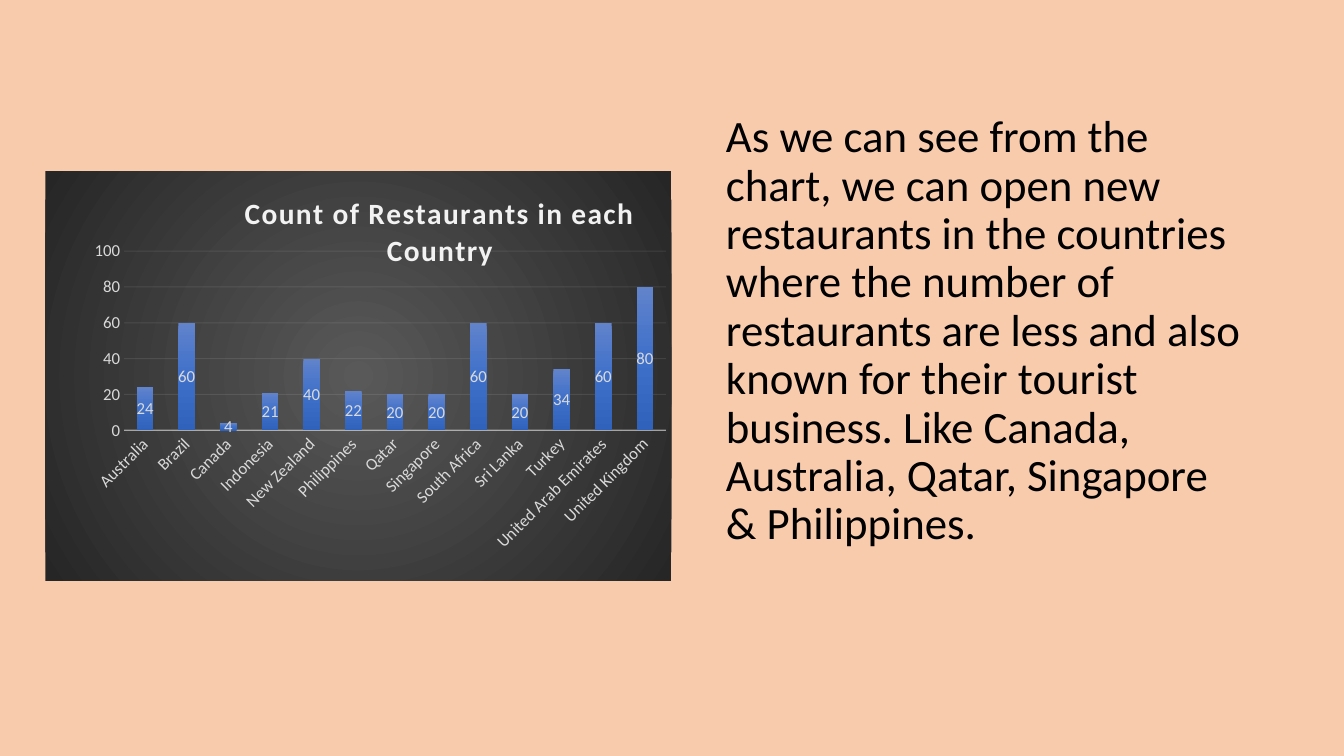
import pptx
import pptx.chart.data
import pptx.dml.color
import pptx.enum.chart
import pptx.enum.text
import pptx.oxml
import pptx.oxml.ns
import pptx.util
from dataclasses import dataclass

RESTAURANTS = {
    "Australia": 24, "Brazil": 60, "Canada": 4, "Indonesia": 21,
    "New Zealand": 40, "Philippines": 22, "Qatar": 20, "Singapore": 20,
    "South Africa": 60, "Sri Lanka": 20, "Turkey": 34,
    "United Arab Emirates": 60, "United Kingdom": 80,
}
ADVICE = (
    "As we can see from the chart, we can open new restaurants in the countries "
    "where the number of restaurants are less and also known for their tourist "
    "business. Like Canada, Australia, Qatar, Singapore & Philippines."
)


@dataclass(frozen=True)
class Theme:
    """Colours, fonts and type sizes of the slide."""
    font: str = "Calibri"
    background: str = "F8CBAD"
    text: str = "000000"
    heading: str = "F2F2F2"
    label: str = "D9D9D9"
    line: str = "F2F2F2"
    panel: tuple = ((0, "595959"), (100, "262626"))
    column: tuple = ((0, "6183CB"), (50, "3E70CA"), (100, "3062BB"))
    body_size: int = 32
    heading_size: int = 21
    label_size: int = 12


def rgb(colour):
    """Turn a hex string into a colour value."""
    return pptx.dml.color.RGBColor.from_string(colour)


def apply(target, values):
    """Set each named attribute of the target."""
    for name, value in values.items():
        setattr(target, name, value)


def gradient(stops, direction):
    """Build a gradient fill element from stops and a direction element."""
    marks = "".join(
        f'<a:gs pos="{position * 1000}"><a:srgbClr val="{colour}"/></a:gs>'
        for position, colour in stops
    )
    return (
        f'<a:gradFill {pptx.oxml.ns.nsdecls("a")} rotWithShape="1">'
        f"<a:gsLst>{marks}</a:gsLst>{direction}</a:gradFill>"
    )


class SlideBuilder:
    """Holds the theme and the current slide."""

    def __init__(self, presentation, theme):
        """Add a slide with the theme's background."""
        self.theme = theme
        self.slide = presentation.slides.add_slide(presentation.slide_layouts[1])
        heading = self.slide.shapes.title.element
        heading.getparent().remove(heading)
        self.slide.background.fill.solid()
        self.slide.background.fill.fore_color.rgb = rgb(theme.background)

    def style(self, font, size, colour, bold=False):
        """Format a font from the theme."""
        apply(font, {"name": self.theme.font, "size": pptx.util.Pt(size), "bold": bold})
        font.color.rgb = rgb(colour)

    def rule(self, line, width, opacity):
        """Format a partly transparent chart line."""
        line.width = pptx.util.Pt(width)
        line.color.rgb = rgb(self.theme.line)
        colour = line.fill._xPr.find(".//" + pptx.oxml.ns.qn("a:srgbClr"))
        colour.append(pptx.oxml.parse_xml(
            f'<a:alpha {pptx.oxml.ns.nsdecls("a")} val="{opacity * 1000}"/>'
        ))

    def body(self, wording, left, top, width, height):
        """Fill the body placeholder with one unbulleted paragraph."""
        body = self.slide.placeholders[1]
        box = {"left": left, "top": top, "width": width, "height": height}
        apply(body, {side: pptx.util.Inches(value) for side, value in box.items()})
        apply(body.text_frame, {
            "word_wrap": True,
            "auto_size": pptx.enum.text.MSO_AUTO_SIZE.NONE,
            "vertical_anchor": pptx.enum.text.MSO_ANCHOR.TOP,
        })
        paragraph = body.text_frame.paragraphs[0]
        apply(paragraph, {
            "text": wording,
            "line_spacing": 0.9,
            "space_before": pptx.util.Pt(10),
            "alignment": pptx.enum.text.PP_ALIGN.LEFT,
        })
        self.style(paragraph.runs[0].font, self.theme.body_size, self.theme.text)
        properties = paragraph._p.get_or_add_pPr()
        properties.set("marL", "0")
        properties.set("indent", "0")
        properties.append(pptx.oxml.parse_xml(
            f'<a:buNone {pptx.oxml.ns.nsdecls("a")}/>'
        ))

    def layout(self, x, y, width=None, height=None):
        """Build a manual chart layout in fractions of the chart."""
        places = {"x": x, "y": y, "w": width, "h": height}
        target = '<c:layoutTarget val="inner"/>' if width else ""
        values = "".join(
            f'<c:{name} val="{value}"/>' for name, value in places.items() if value
        )
        return pptx.oxml.parse_xml(
            f'<c:layout {pptx.oxml.ns.nsdecls("c")}><c:manualLayout>{target}'
            f'<c:xMode val="edge"/><c:yMode val="edge"/>{values}'
            "</c:manualLayout></c:layout>"
        )

    def place(self, part, layout):
        """Give a chart part its manual layout."""
        for old in part.findall(pptx.oxml.ns.qn("c:layout")):
            part.remove(old)
        text = part.find(pptx.oxml.ns.qn("c:tx"))
        part.insert(0 if text is None else 1, layout)

    def column_chart(self, heading, counts, left, top, width, height):
        """Add a stacked column chart on a dark panel."""
        theme = self.theme
        data = pptx.chart.data.CategoryChartData()
        data.categories = list(counts)
        data.add_series("Series 1", list(counts.values()))
        box = [pptx.util.Inches(value) for value in (left, top, width, height)]
        chart = self.slide.shapes.add_chart(
            pptx.enum.chart.XL_CHART_TYPE.COLUMN_STACKED, *box, data
        ).chart
        chart.has_legend = False
        self.style(chart.font, 10, theme.text)
        chart.element.find(pptx.oxml.ns.qn("c:txPr")).addprevious(
            pptx.oxml.parse_xml(
                f'<c:spPr {pptx.oxml.ns.nsdecls("c", "a")}>'
                + gradient(theme.panel, '<a:path path="circle"><a:fillToRect '
                           'l="50000" t="50000" r="50000" b="50000"/></a:path>')
                + "<a:ln><a:noFill/></a:ln></c:spPr>"
            )
        )

        title = chart.chart_title
        title.text_frame.text = heading
        run = title.text_frame.paragraphs[0].runs[0]
        self.style(run.font, theme.heading_size, theme.heading, bold=True)
        run.font._element.set("spc", "100")
        title.include_in_layout = False
        self.place(title._element, self.layout(0.31, 0.04))
        self.place(chart.element.chart.plotArea,
                   self.layout(0.126, 0.195, 0.865, 0.438))

        no_tick = pptx.enum.chart.XL_TICK_MARK.NONE
        for axis in (chart.category_axis, chart.value_axis):
            apply(axis, {"major_tick_mark": no_tick, "minor_tick_mark": no_tick})
            self.style(axis.tick_labels.font, theme.label_size, theme.label)
        self.rule(chart.category_axis.format.line, 1, 54)
        apply(chart.value_axis, {
            "minimum_scale": 0, "maximum_scale": 100, "major_unit": 20,
        })
        chart.value_axis.format.line.fill.background()
        self.rule(chart.value_axis.major_gridlines.format.line, 0.75, 10)

        plot = chart.plots[0]
        apply(plot, {"gap_width": 150, "overlap": 100, "vary_by_categories": False})
        series = plot.series[0]
        series.format.fill.background()
        empty = series._element.spPr.find(pptx.oxml.ns.qn("a:noFill"))
        empty.getparent().replace(empty, pptx.oxml.parse_xml(
            gradient(theme.column, '<a:lin ang="5400000" scaled="0"/>')
        ))
        apply(series.data_labels, {
            "show_value": True,
            "position": pptx.enum.chart.XL_LABEL_POSITION.CENTER,
        })
        self.style(series.data_labels.font, theme.label_size, theme.label)


def main():
    """Build and save the slide."""
    presentation = pptx.Presentation()
    presentation.slide_width = pptx.util.Inches(13.33)
    presentation.slide_height = pptx.util.Inches(7.5)
    builder = SlideBuilder(presentation, Theme())
    builder.body(ADVICE, 7.1, 1.08, 5.32, 5.33)
    builder.column_chart("Count of Restaurants in each Country", RESTAURANTS,
                         0.45, 1.7, 6.21, 4.06)
    presentation.save("out.pptx")


if __name__ == "__main__":
    main()
